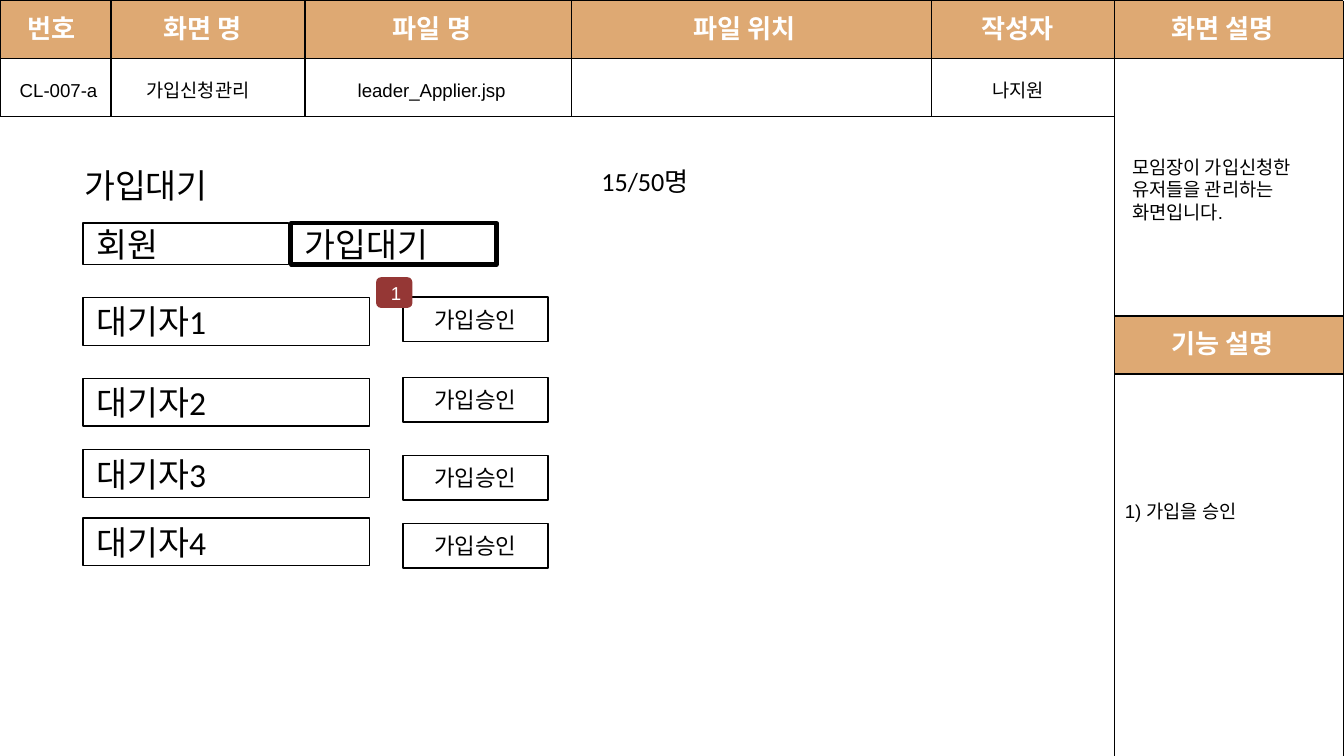
from lxml import etree
from pptx import Presentation
from pptx.dml.color import RGBColor
from pptx.enum.shapes import MSO_SHAPE
from pptx.enum.text import MSO_ANCHOR as Anchor, PP_ALIGN as Align
from pptx.oxml.ns import qn
from pptx.util import Pt

TAN = RGBColor(0xDE, 0xA9, 0x73)
BLACK = RGBColor(0, 0, 0)
WHITE = RGBColor(0xFF, 0xFF, 0xFF)
RED = RGBColor(0x95, 0x37, 0x35)

WIDTH, HEIGHT = 720, 405
TABLE_WIDTH = 597
ROW = 31
EDGE = 0.4  # keeps the outer rules inside the slide
HEAD_FONT = "Noto Sans CJK KR"


def write(frame, text, size, font="Calibri", color=BLACK, align=Align.LEFT,
          anchor=Anchor.TOP):
    frame.word_wrap = True
    frame.vertical_anchor = anchor
    paragraph = frame.paragraphs[0]
    paragraph.text = text
    paragraph.alignment = align
    paragraph.font.size = Pt(size)
    paragraph.font.name = font
    paragraph.font.color.rgb = color
    return paragraph


def add_label(slide, text, left, top, width, height, size=10, font="Arial", **style):
    label = slide.shapes.add_textbox(Pt(left), Pt(top), Pt(width), Pt(height))
    write(label.text_frame, text, size, font, **style)


def add_box(slide, left, top, width, height, fill=WHITE, line=None,
            kind=MSO_SHAPE.RECTANGLE):
    box = slide.shapes.add_shape(kind, Pt(left), Pt(top), Pt(width), Pt(height))
    box.shadow.inherit = False
    box.fill.solid()
    box.fill.fore_color.rgb = fill
    if line:
        box.line.color.rgb = BLACK
        box.line.width = Pt(line)
    else:
        box.line.fill.background()
    return box


def build_outline(slide, contours, close):
    """One freeform that holds every contour, given as lists of points."""
    scaled = [[(Pt(x), Pt(y)) for x, y in contour] for contour in contours]
    builder = slide.shapes.build_freeform(*scaled[0][0], scale=1.0)
    for index, (start, *rest) in enumerate(scaled):
        if index:
            builder.move_to(*start)
        builder.add_line_segments(rest, close=close)
    outline = builder.convert_to_shape()
    outline.shadow.inherit = False
    return outline


def add_bands(slide, left, tops, width):
    right = left + width
    bands = build_outline(slide, [
        [(left, top), (right, top), (right, top + ROW), (left, top + ROW)]
        for top in tops], close=True)
    bands.fill.solid()
    bands.fill.fore_color.rgb = TAN
    bands.line.fill.background()


def add_rules(slide, segments):
    rules = build_outline(slide, segments, close=False)
    rules.fill.background()
    rules.line.color.rgb = BLACK
    rules.line.width = Pt(0.75)


def add_heading(slide, text, left, top, width):
    """White bold heading on a tan band that starts at top."""
    heading = slide.shapes.add_textbox(Pt(left), Pt(top + 5.5), Pt(width), Pt(17))
    frame = heading.text_frame
    frame.margin_left = frame.margin_right = frame.margin_bottom = 0
    frame.margin_top = Pt(0.75)
    paragraph = write(frame, text, 14, HEAD_FONT, WHITE)
    frame.word_wrap = False
    paragraph.font.bold = True
    paragraph.space_before = Pt(1)
    # Korean glyphs take the East Asian typeface
    defaults = paragraph._p.pPr.find(qn("a:defRPr"))
    etree.SubElement(defaults, qn("a:ea")).set("typeface", HEAD_FONT)


def add_screen_table(slide, left, top, width):
    """Header strip that identifies the screen."""
    add_bands(slide, left, [top], width)

    # Grid
    edges = [EDGE, 59.5, 163.5, 306, 499, width]
    add_rules(slide, [[(left + edge, top), (left + edge, top + 2 * ROW)]
                      for edge in edges])
    add_rules(slide, [[(left, top + row * ROW), (left + width, top + row * ROW)]
                      for row in range(3)])

    # Headings
    headings = [("번호", 15, 30), ("화면 명", 87.5, 48), ("파일 명", 210.5, 48),
                ("파일 위치", 371.5, 56), ("작성자", 526, 44)]
    for heading, offset, text_width in headings:
        add_heading(slide, heading, left + offset, top, text_width)

    # Values
    values = [("CL-007-a", 3.5, 57), ("가입신청관리", 71.5, 102),
              ("leader_Applier.jsp", 184.5, 162), ("나지원", 524.5, 72)]
    for value, offset, value_width in values:
        add_label(slide, value, left + offset, top + 38.25, value_width, 19.5)


def add_description_panel(slide, left, top, width, height):
    """Right-hand column: screen description above feature description."""
    right, bottom = left + width, top + height
    bands = [top, top + 169]
    add_bands(slide, left, bands, width)
    levels = [level for band in bands for level in (band, band + ROW)]
    add_rules(slide, [[(x, top), (x, bottom)] for x in (left, right)]
              + [[(left, y), (right, y)] for y in levels])
    for heading, band in zip(["화면 설명", "기능 설명"], bands):
        add_heading(slide, heading, left + 30.5, band, 63)

    # Explanations
    add_label(slide, "모임장이 가입신청한 유저들을 관리하는 화면입니다.",
              left + 2.5, top + 79.5, 120, 55.5)
    add_label(slide, "1) 가입을 승인", left - 1.5, top + 251.5, 118, 31.5,
              anchor=Anchor.BOTTOM)


def add_waiting_list(slide, left, top):
    """Screen mock-up: title, tabs, applicants with approve buttons."""
    add_label(slide, "가입대기", left - 6.5, top, 216, 29, 18, "Calibri")
    add_label(slide, "15/50명", left + 270.5, top, 147.5, 24.5, 14, "Calibri")

    # Tabs
    for tab, offset, line in [("회원", 0, 0.75), ("가입대기", 111.5, 2.25)]:
        box = add_box(slide, left + offset, top + 34.5, 110, 22.25, line=line)
        write(box.text_frame, tab, 18, anchor=Anchor.MIDDLE)

    # Applicants: offsets of the name box and its button
    rows = [(74.5, 74), (117.75, 117.25), (156, 159), (192.5, 195.5)]
    for number, (name_top, button_top) in enumerate(rows, 1):
        name = add_box(slide, left, top + name_top, 153.5, 25.5, line=0.75)
        write(name.text_frame, f"대기자{number}", 18, anchor=Anchor.MIDDLE)
        button = add_box(slide, left + 171.5, top + button_top, 77.5, 24, line=1)
        write(button.text_frame, "가입승인", 12, align=Align.CENTER,
              anchor=Anchor.MIDDLE)

    # Callout number
    badge = add_box(slide, left + 157, top + 63.5, 19.5, 16.5, RED,
                    kind=MSO_SHAPE.ROUNDED_RECTANGLE)
    write(badge.text_frame, "1", 10, "Arial", WHITE, Align.CENTER, Anchor.MIDDLE)


def main():
    deck = Presentation()
    deck.slide_width, deck.slide_height = Pt(WIDTH), Pt(HEIGHT)
    slide = deck.slides.add_slide(deck.slide_layouts[6])
    add_screen_table(slide, 0, EDGE, TABLE_WIDTH)
    add_description_panel(slide, TABLE_WIDTH, EDGE, WIDTH - TABLE_WIDTH - EDGE,
                          HEIGHT - EDGE)
    add_waiting_list(slide, 44.5, 85)
    deck.save("out.pptx")


if __name__ == "__main__":
    main()
